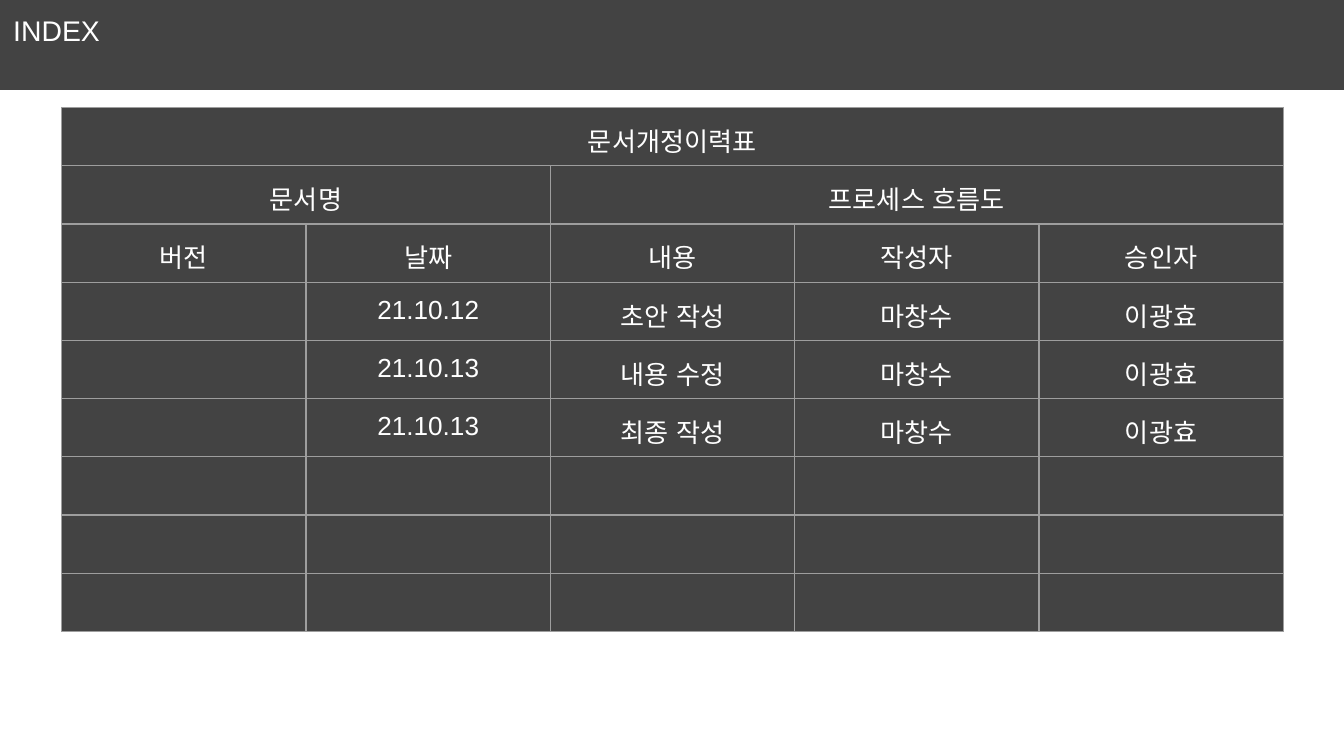
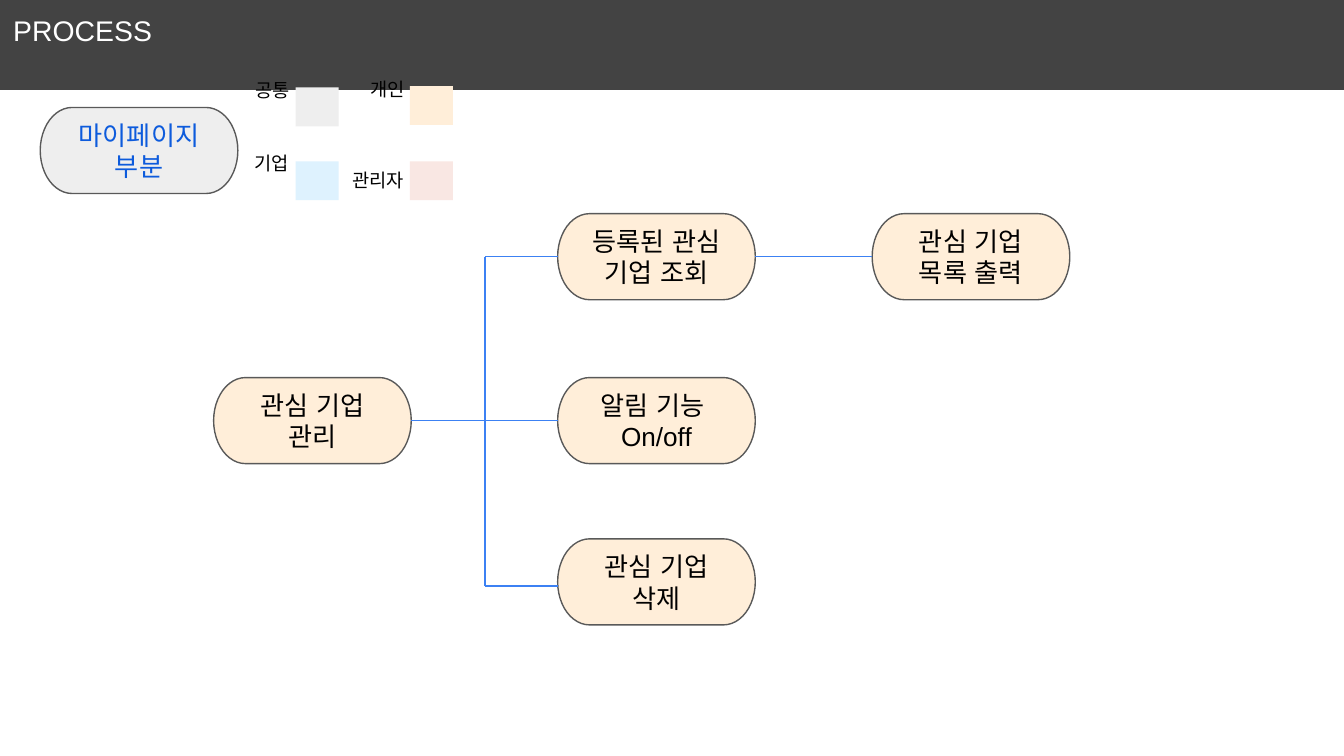
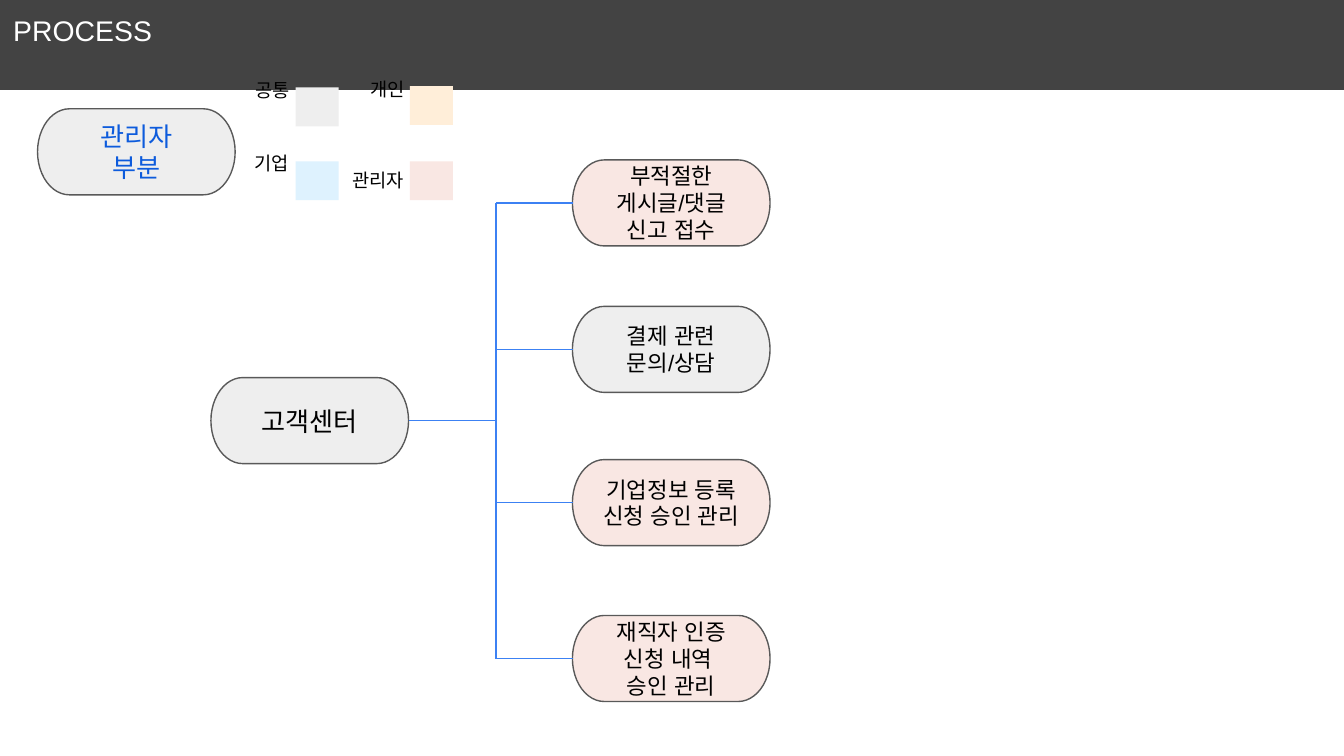
from pptx import Presentation
from pptx.dml.color import RGBColor
from pptx.enum.shapes import MSO_CONNECTOR as CONN, MSO_SHAPE as SHAPE
from pptx.enum.text import MSO_ANCHOR as ANCHOR, PP_ALIGN as ALIGN
from pptx.oxml.ns import qn
from pptx.util import Inches, Pt
from lxml.etree import SubElement

DARK = RGBColor(0x43, 0x43, 0x43)
WHITE = RGBColor(0xFF, 0xFF, 0xFF)
BLACK = RGBColor(0, 0, 0)
OUTLINE = RGBColor(0x59, 0x59, 0x59)
HEADING = RGBColor(0x0D, 0x5B, 0xDC)
LINK = RGBColor(0x3C, 0x81, 0xF3)
COMMON = RGBColor(0xEE, 0xEE, 0xEE)
PERSONAL = RGBColor(0xFF, 0xEE, 0xD9)
COMPANY = RGBColor(0xDE, 0xF2, 0xFE)
ADMIN = RGBColor(0xF9, 0xE7, 0xE3)
GRID = "9E9E9E"
FONT = "Arial"
NODE_W, NODE_H = 1.47, 0.64

HISTORY = [
    ["문서개정이력표"],
    ["문서명", "", "프로세스 흐름도"],
    ["버전", "날짜", "내용", "작성자", "승인자"],
    ["", "21.10.12", "초안 작성", "마창수", "이광효"],
    ["", "21.10.13", "내용 수정", "마창수", "이광효"],
    ["", "21.10.13", "최종 작성", "마창수", "이광효"],
    [], [], [],
]
MERGES = [((0, 0), (0, 4)), ((1, 0), (1, 1)), ((1, 2), (1, 4))]
LEGEND = [
    ("공통", COMMON, (1.78, 0.55, 0.5), (2.2, 0.65), ANCHOR.TOP),
    ("개인", PERSONAL, (2.63, 0.54, 0.5), (3.05, 0.64), ANCHOR.TOP),
    ("기업", COMPANY, (1.77, 1.09, 0.5), (2.2, 1.2), ANCHOR.TOP),
    ("관리자", ADMIN, (2.49, 1.12, 0.64), (3.05, 1.2), ANCHOR.MIDDLE),
]


def write(tf, lines, size, color, align=ALIGN.CENTER):
    """Fill a text frame with one paragraph per line."""
    tf.word_wrap = True
    for i, line in enumerate(lines):
        p = tf.add_paragraph() if i else tf.paragraphs[0]
        p.alignment = align
        r = p.add_run()
        r.text = line
        r.font.size = Pt(size)
        r.font.name = FONT
        r.font.color.rgb = color
        SubElement(r._r.get_or_add_rPr(), qn("a:ea"), typeface=FONT)


def set_margins(box, side=0.1, top=0.1, bottom=0.1):
    """Set the inner margins of a text frame or cell."""
    box.margin_left = box.margin_right = Inches(side)
    box.margin_top, box.margin_bottom = Inches(top), Inches(bottom)


def add_block(shapes, kind, x, y, w, h, fill, line=None):
    """Add a flat filled shape."""
    sp = shapes.add_shape(kind, Inches(x), Inches(y), Inches(w), Inches(h))
    sp.shadow.inherit = False
    sp.fill.solid()
    sp.fill.fore_color.rgb = fill
    if line is None:
        sp.line.fill.background()
    else:
        sp.line.color.rgb = line
        sp.line.width = Pt(0.75)
    set_margins(sp.text_frame)
    return sp


def add_titled_slide(prs, title):
    """Add a blank slide with the dark title band."""
    s = prs.slides.add_slide(prs.slide_layouts[6])
    band = add_block(s.shapes, SHAPE.RECTANGLE, 0, 0, 10, 0.67, DARK)
    band.text_frame.vertical_anchor = ANCHOR.TOP
    write(band.text_frame, [title], 15.2, WHITE, ALIGN.LEFT)
    return s


def add_node(s, x, y, lines, fill, size=14, color=BLACK):
    """Add a rounded flow step."""
    sp = add_block(s.shapes, SHAPE.FLOWCHART_TERMINATOR, x, y, NODE_W, NODE_H, fill, OUTLINE)
    sp.text_frame.vertical_anchor = ANCHOR.MIDDLE
    write(sp.text_frame, lines, size, color)


def add_link(s, x1, y1, x2, y2):
    """Add a thin straight connector."""
    c = s.shapes.add_connector(CONN.STRAIGHT, Inches(x1), Inches(y1), Inches(x2), Inches(y2))
    c.line.color.rgb = LINK
    c.line.width = Pt(0.75)
    SubElement(c._element.spPr, qn("a:effectLst"))


def add_branches(s, trunk_x, child_x, child_ys):
    """Join child steps to a vertical trunk."""
    for y in child_ys:
        add_link(s, child_x, y, trunk_x, y)
    add_link(s, trunk_x, child_ys[0], trunk_x, child_ys[-1])


def add_legend(s):
    """Add the colour key of user groups."""
    for name, fill, (x, y, w), (swatch_x, swatch_y), anchor in LEGEND:
        group = s.shapes.add_group_shape()
        label = group.shapes.add_textbox(Inches(x), Inches(y), Inches(w), Inches(0.44))
        tf = label.text_frame
        set_margins(tf, 0.05, 0.04, 0.04)
        tf.vertical_anchor = anchor
        write(tf, [name], 10, BLACK)
        add_block(group.shapes, SHAPE.RECTANGLE, swatch_x, swatch_y, 0.32, 0.29, fill)


def style_cell(cell, text):
    """Give a cell its borders, fill and text."""
    tcPr = cell._tc.get_or_add_tcPr()
    for side in ("lnL", "lnR", "lnT", "lnB"):
        ln = SubElement(tcPr, qn(f"a:{side}"), w=str(Pt(0.75)))
        SubElement(SubElement(ln, qn("a:solidFill")), qn("a:srgbClr"), val=GRID)
    cell.fill.solid()
    cell.fill.fore_color.rgb = DARK
    if text.isascii():
        set_margins(cell)
    else:
        set_margins(cell, top=0.15, bottom=0.05)
    if text:
        write(cell.text_frame, [text], 14, WHITE)
    else:
        end = SubElement(cell.text_frame.paragraphs[0]._p, qn("a:endParaRPr"), sz="1400")
        SubElement(end, qn("a:latin"), typeface=FONT)


def add_history_table(s):
    """Add the document revision table."""
    n_rows, n_cols = len(HISTORY), 5
    frame = s.shapes.add_table(n_rows, n_cols, Inches(0.46), Inches(0.8), Inches(9.09), Inches(3.9))
    table = frame.table
    table.first_row = table.horz_banding = False
    for i, row in enumerate(HISTORY):
        for j in range(n_cols):
            style_cell(table.cell(i, j), row[j] if j < len(row) else "")
    for start, end in MERGES:
        table.cell(*start).merge(table.cell(*end))


def build_index(prs):
    """Build the revision history slide."""
    add_history_table(add_titled_slide(prs, "INDEX"))


def build_my_page(prs):
    """Build the flow for favourite companies."""
    s = add_titled_slide(prs, "PROCESS")
    add_node(s, 0.3, 0.8, ["마이페이지 부분"], COMMON, color=HEADING)
    for x, y, lines in [
        (1.59, 2.81, ["관심 기업 관리"]),
        (4.15, 2.81, ["알림 기능 ", "On/off"]),
        (4.15, 1.59, ["등록된 관심 기업 조회"]),
        (4.15, 4.01, ["관심 기업 삭제"]),
        (6.49, 1.59, ["관심 기업 목록 출력"]),
    ]:
        add_node(s, x, y, lines, PERSONAL)
    add_link(s, 3.06, 3.13, 4.15, 3.13)
    add_branches(s, 3.61, 4.15, [1.91, 4.36])
    add_link(s, 5.62, 1.91, 6.49, 1.91)
    add_legend(s)


def build_admin(prs):
    """Build the flow for the customer centre."""
    s = add_titled_slide(prs, "PROCESS")
    add_node(s, 0.28, 0.81, ["관리자", "부분"], COMMON, color=HEADING)
    add_node(s, 1.57, 2.81, ["고객센터"], COMMON)
    tasks = [
        (1.19, ["부적절한 게시글/댓글", "신고 접수"], ADMIN),
        (2.28, ["결제 관련", "문의/상담"], COMMON),
        (3.42, ["기업정보 등록 신청 승인 관리"], ADMIN),
        (4.58, ["재직자 인증 신청 내역 ", "승인 관리"], ADMIN),
    ]
    for y, lines, fill in tasks:
        add_node(s, 4.26, y, lines, fill, size=12)
    add_link(s, 3.04, 3.13, 3.69, 3.13)
    add_branches(s, 3.69, 4.26, [y + NODE_H / 2 for y, _, _ in tasks])
    add_legend(s)


def main():
    """Build and save the deck."""
    prs = Presentation()
    prs.slide_width, prs.slide_height = Inches(10), Inches(10 * 9 / 16)
    build_index(prs)
    build_my_page(prs)
    build_admin(prs)
    prs.save("out.pptx")


if __name__ == "__main__":
    main()
